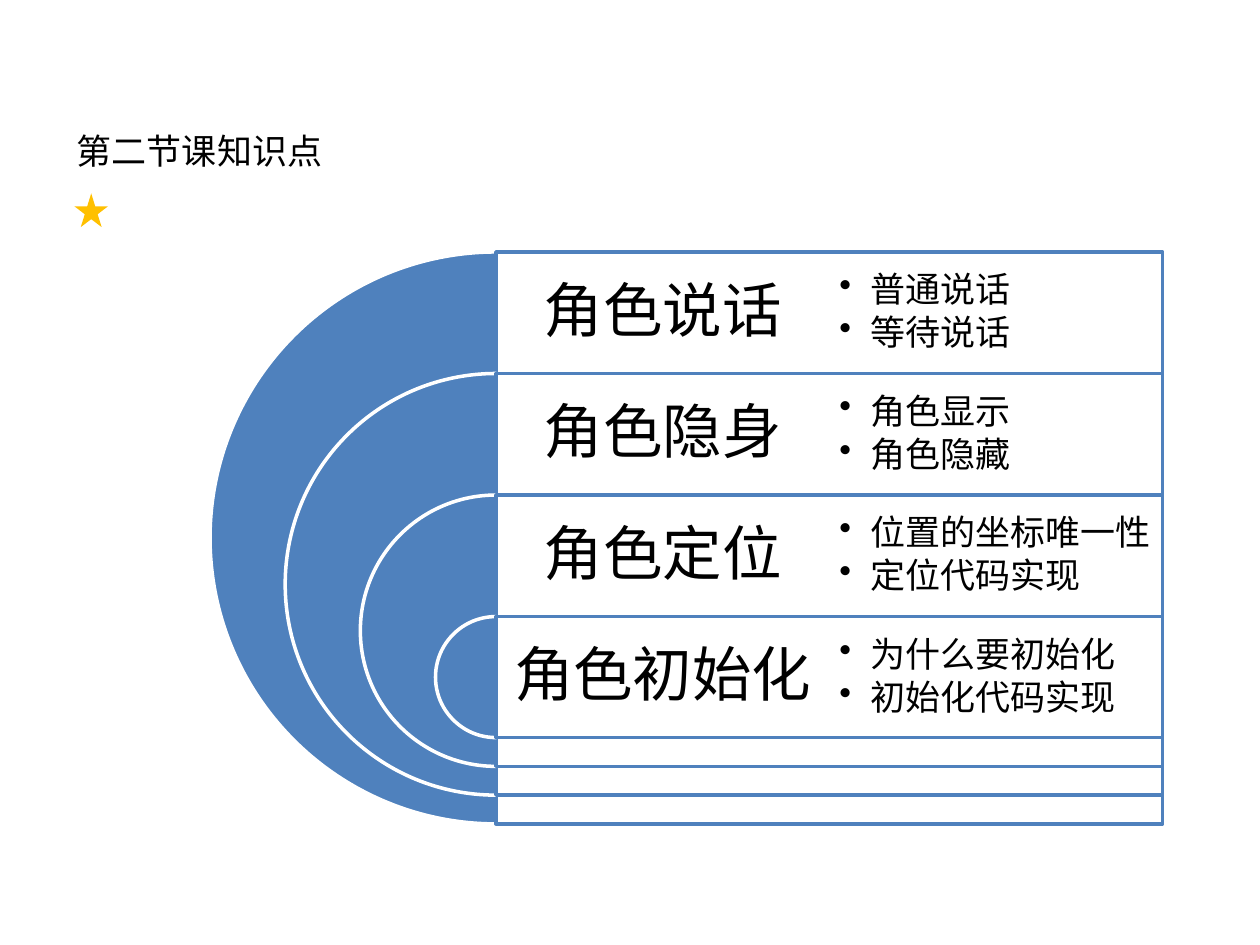
from dataclasses import dataclass

import lxml.etree
import pptx
import pptx.dml.color
import pptx.enum.shapes
import pptx.enum.text
import pptx.oxml.ns
import pptx.util

Cm = pptx.util.Cm
Pt = pptx.util.Pt
MSO_SHAPE = pptx.enum.shapes.MSO_SHAPE
PP_ALIGN = pptx.enum.text.PP_ALIGN
MSO_ANCHOR = pptx.enum.text.MSO_ANCHOR
qn = pptx.oxml.ns.qn


@dataclass(frozen=True)
class Theme:
    text: str = "000000"
    blue: str = "4F81BD"
    white: str = "FFFFFF"
    gold: str = "FFC000"
    title_font: str = "Noto Sans CJK SC"
    body_font: str = "Calibri"
    label_size: int = 34
    body_size: int = 20
    line_width: int = 2


THEME = Theme()

TOPICS = [
    ("角色说话", ["普通说话", "等待说话"]),
    ("角色隐身", ["角色显示", "角色隐藏"]),
    ("角色定位", ["位置的坐标唯一性", "定位代码实现"]),
    ("角色初始化", ["为什么要初始化", "初始化代码实现"]),
]

# Stacked semicircles and panels, in centimetres
AXIS_X = 10.0
STACK_TOP = 5.08
ROW_HEIGHT = 2.45
OUTER_DIAMETER = 11.53
DIAMETER_STEP = 3.03
COLUMN_WIDTH = 6.72


def rgb(value):
    return pptx.dml.color.RGBColor.from_string(value)


def add_figure(slide, kind, left, top, width, height, fill, line=None, opacity=100):
    """Add a preset shape; without a line colour it has no outline."""
    shape = slide.shapes.add_shape(kind, Cm(left), Cm(top), Cm(width), Cm(height))
    shape.shadow.inherit = False
    shape.fill.solid()
    shape.fill.fore_color.rgb = rgb(fill)
    if opacity < 100:
        color = shape._element.spPr.find(qn("a:solidFill"))[0]
        lxml.etree.SubElement(color, qn("a:alpha"), val=str(opacity * 1000))
    if line:
        shape.line.color.rgb = rgb(line)
        shape.line.width = Pt(THEME.line_width)
    else:
        shape.line.fill.background()
    return shape


def add_bullet(paragraph, indent):
    properties = paragraph._p.get_or_add_pPr()
    properties.set("marL", str(Cm(indent)))
    properties.set("indent", str(-Cm(indent)))
    lxml.etree.SubElement(properties, qn("a:buChar"), char="•")


def add_text(slide, lines, left, top, width, height, *, size, font=THEME.body_font,
             align=PP_ALIGN.LEFT, anchor=MSO_ANCHOR.MIDDLE, margin=None,
             line_spacing=None, space_after=None, bullets=False, wrap=True):
    box = slide.shapes.add_textbox(Cm(left), Cm(top), Cm(width), Cm(height))
    frame = box.text_frame
    frame.word_wrap = wrap
    frame.vertical_anchor = anchor
    if margin is not None:
        frame.margin_left = frame.margin_right = Cm(margin)
        frame.margin_top = frame.margin_bottom = Cm(margin)
    for index, line in enumerate(lines):
        paragraph = frame.add_paragraph() if index else frame.paragraphs[0]
        paragraph.alignment = align
        if line_spacing is not None:
            paragraph.line_spacing = line_spacing
        if space_after is not None:
            paragraph.space_after = Pt(space_after)
        if bullets:
            add_bullet(paragraph, 0.63)
        run = paragraph.add_run()
        run.text = line
        run.font.name = font
        run.font.size = Pt(size)
        run.font.color.rgb = rgb(THEME.text)
        if font == THEME.title_font:
            lxml.etree.SubElement(run.font._element, qn("a:ea"), typeface=font)
    return box


def add_layer(slide, index, label):
    """Add one semicircle with the panel and label beside it."""
    top = STACK_TOP + index * ROW_HEIGHT
    diameter = OUTER_DIAMETER - index * DIAMETER_STEP
    pie = add_figure(slide, MSO_SHAPE.PIE, AXIS_X - diameter / 2, top,
                     diameter, diameter, THEME.blue, THEME.white)
    pie.adjustments[0] = 54  # 90 degrees
    pie.adjustments[1] = 162  # 270 degrees
    add_figure(slide, MSO_SHAPE.RECTANGLE, AXIS_X, top, 2 * COLUMN_WIDTH, diameter,
               THEME.white, THEME.blue, opacity=90)
    add_text(slide, [label], AXIS_X, top, COLUMN_WIDTH, ROW_HEIGHT,
             size=THEME.label_size, align=PP_ALIGN.CENTER, margin=0.36,
             line_spacing=0.9, space_after=12)


def add_details(slide, index, details):
    add_text(slide, details, AXIS_X + COLUMN_WIDTH, STACK_TOP + index * ROW_HEIGHT,
             COLUMN_WIDTH, ROW_HEIGHT, size=THEME.body_size, margin=0.2,
             line_spacing=0.9, space_after=3, bullets=True)


def main():
    presentation = pptx.Presentation()
    presentation.slide_width = Cm(25.4)
    presentation.slide_height = Cm(19.05)
    slide = presentation.slides.add_slide(presentation.slide_layouts[6])

    title = add_text(slide, ["第二节课知识点"], 1.3, 2.49, 5.51, 1.11,
                     size=THEME.body_size, font=THEME.title_font,
                     anchor=MSO_ANCHOR.TOP, wrap=False)
    title.text_frame.auto_size = pptx.enum.text.MSO_AUTO_SIZE.SHAPE_TO_FIT_TEXT
    add_figure(slide, MSO_SHAPE.STAR_5_POINT, 1.5, 3.9, 0.68, 0.68, THEME.gold)

    for index, (label, _) in enumerate(TOPICS):
        add_layer(slide, index, label)
    for index, (_, details) in enumerate(TOPICS):
        add_details(slide, index, details)

    presentation.save("out.pptx")


if __name__ == "__main__":
    main()
